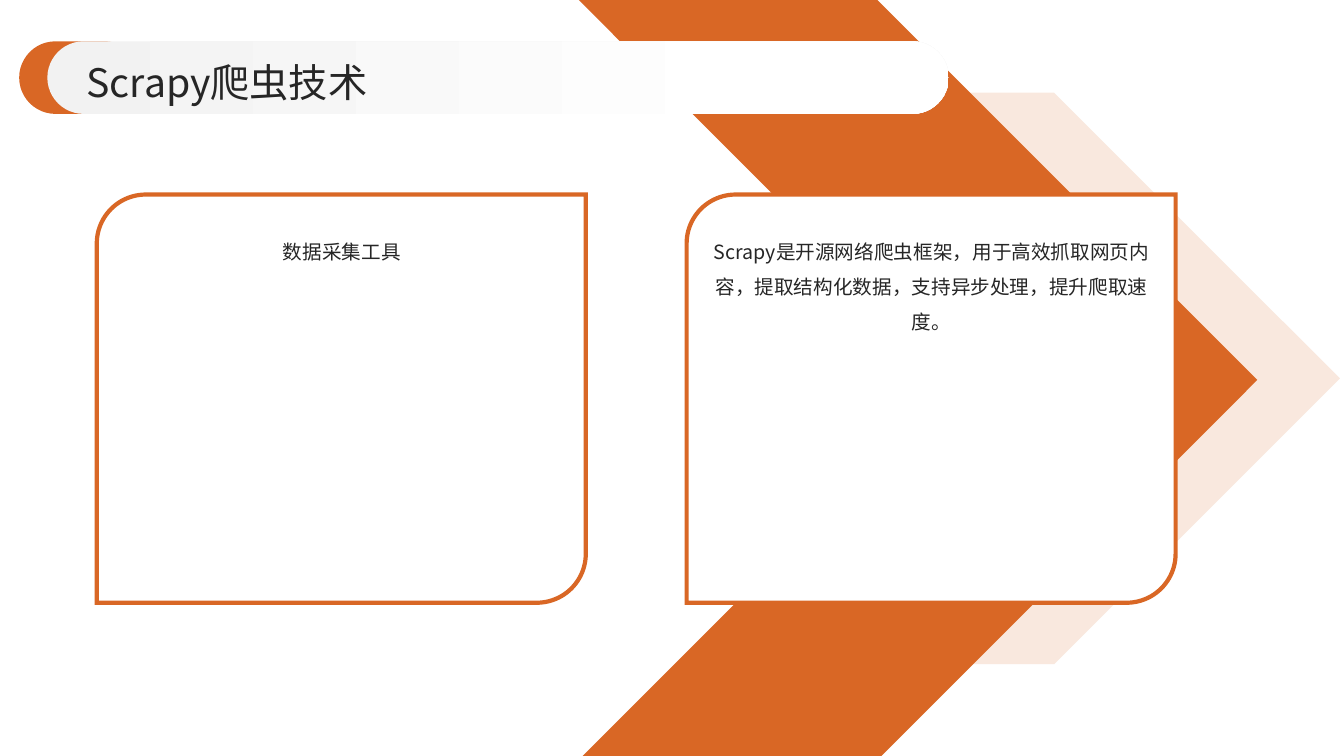
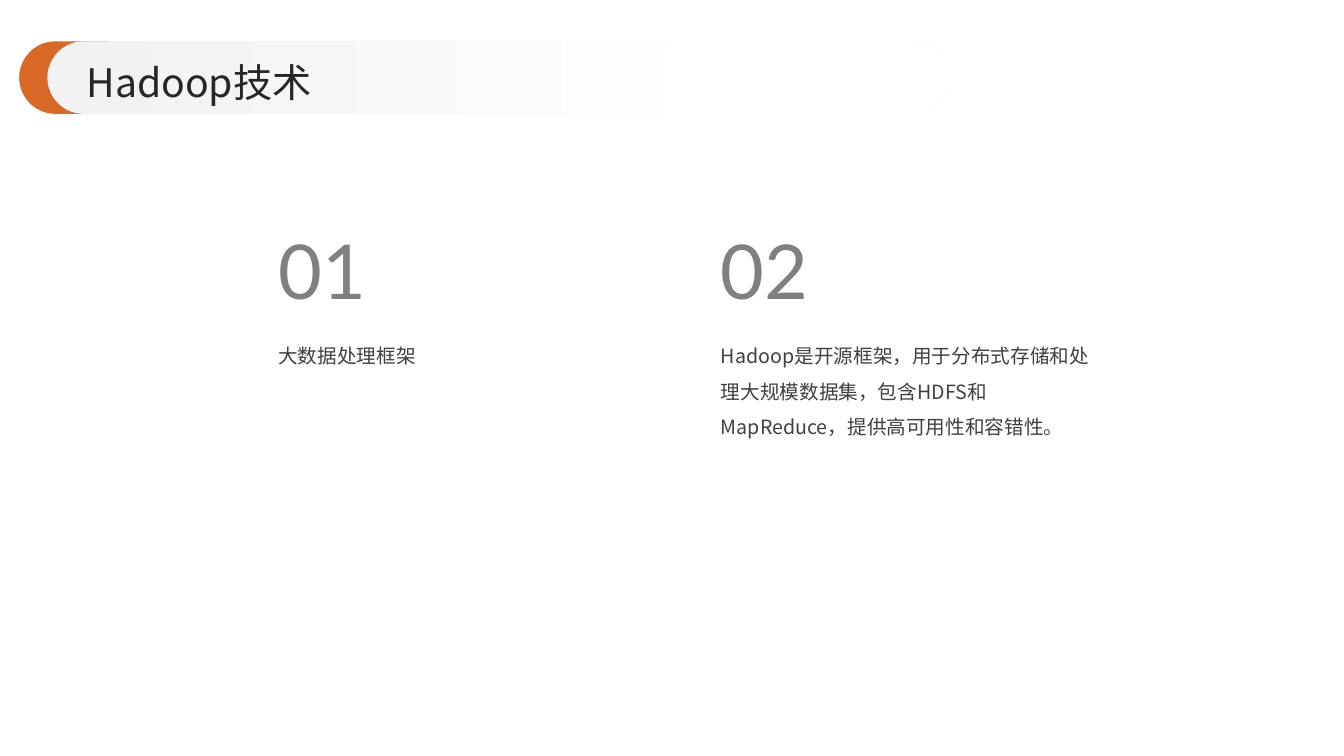
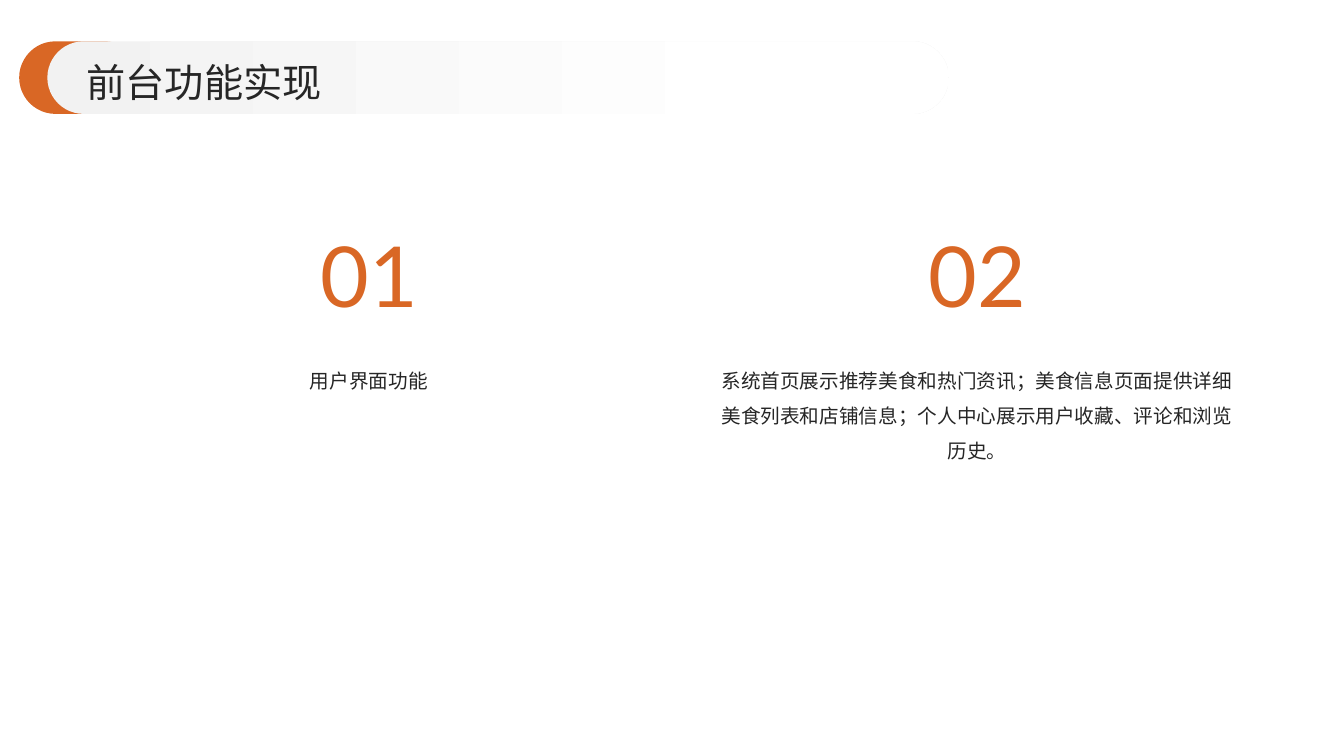
from lxml import etree
from pptx import Presentation
from pptx.dml.color import RGBColor
from pptx.enum import shapes as es, text as et
from pptx.oxml.ns import qn
from pptx.util import Inches, Pt

COLORS = {"accent": "D96725", "paper": "FFFFFF", "band": "F2F2F2",
          "ink": "262626", "body": "404040", "muted": "808080"}
CJK, LATIN = "Noto Sans CJK SC", "Lato"
KIND, ALIGN, ANCHOR = es.MSO_SHAPE, et.PP_ALIGN, et.MSO_ANCHOR


def rgb(name):
    return RGBColor.from_string(COLORS[name])


def place(shape, box):
    shape.left, shape.top, shape.width, shape.height = map(Inches, box)


def write(holder, words, size=14, color="ink", font=CJK, align=ALIGN.LEFT,
          anchor=ANCHOR.TOP, spacing=1.5):
    frame = holder.text_frame
    frame.word_wrap = True
    frame.auto_size = et.MSO_AUTO_SIZE.NONE
    frame.vertical_anchor = anchor
    frame.margin_left = frame.margin_right = 0
    frame.margin_top = frame.margin_bottom = 0
    paragraph = frame.paragraphs[0]
    paragraph.alignment = align
    paragraph.line_spacing = spacing
    run = paragraph.add_run()
    run.text = words
    run.font.size = Pt(size)
    run.font.name = font
    run.font.color.rgb = rgb(color)
    east_asian = etree.SubElement(run.font._element, qn("a:ea"))
    east_asian.set("typeface", font)


def add_text(slide, box, words, **style):
    write(slide.shapes.add_textbox(*map(Inches, box)), words, **style)


def add_block(slide, kind, box, fill="accent", adjust=0.5, alpha=None):
    block = slide.shapes.add_shape(kind, *map(Inches, box))
    block.shadow.inherit = False
    block.adjustments[0] = adjust
    block.fill.solid()
    block.fill.fore_color.rgb = rgb(fill)
    block.line.fill.background()
    if alpha is not None:
        tint = block.element.spPr.find(".//" + qn("a:srgbClr"))
        etree.SubElement(tint, qn("a:alpha")).set("val", str(alpha * 1000))
    return block


def add_title_band(slide, heading):
    add_block(slide, KIND.ROUNDED_RECTANGLE, (0.19, 0.41, 1.21, 0.72))
    band = add_block(slide, KIND.ROUNDED_RECTANGLE, (0.47, 0.41, 8.94, 0.72))
    band.fill.gradient()
    band.fill.gradient_angle = 0
    for stop, color, position in zip(band.fill.gradient_stops, ("band", "paper"), (0, 0.8)):
        stop.color.rgb = rgb(color)
        stop.position = position
    title = slide.shapes.title
    place(title, (0.86, 0.53, 11.67, 0.51))
    write(title, heading, size=28, anchor=ANCHOR.MIDDLE, spacing=1.1)
    title.element.getparent().append(title.element)


def add_chevrons(slide):
    add_block(slide, KIND.CHEVRON, (7.5, 0.92, 5.79, 5.67), adjust=0.5, alpha=15)
    add_block(slide, KIND.CHEVRON, (5.74, 0, 6.73, 7.54), adjust=0.56)


def add_card(slide, left, words, top=1.93, width=4.85, height=4.05):
    card = add_block(slide, KIND.ROUND_2_DIAG_RECTANGLE, (left, top, width, height),
                     fill="paper", adjust=0.12)
    card.line.color.rgb = rgb("accent")
    card.line.width = Pt(3)
    outline = card.element.spPr.find(qn("a:ln"))
    etree.SubElement(outline, qn("a:miter")).set("lim", "800000")
    add_text(slide, (left + 0.24, top + 0.33, width - 0.47, height - 0.66), words,
             align=ALIGN.CENTER)


def add_plain_point(slide, left, number, words, top=2.22):
    add_text(slide, (left, top, 1.53, 0.75), number, size=54, color="muted",
             font=LATIN, spacing=1)
    add_text(slide, (left, top + 1.08, 3.83, 2.38), words, color="body")


def add_centered_point(slide, left, number, words, top=1.75, width=5.2):
    number_width = 1.91
    add_text(slide, (left + (width - number_width) / 2, top, number_width, 1.44), number,
             size=60, color="accent", font=LATIN, align=ALIGN.CENTER, anchor=ANCHOR.MIDDLE)
    add_text(slide, (left, top + 1.79, width, 3), words, align=ALIGN.CENTER)


def build_cards(slide, points):
    add_chevrons(slide)
    for index, words in enumerate(points):
        add_card(slide, 0.96 + index * 5.85, words)


def build_plain_points(slide, points):
    for index, words in enumerate(points):
        add_plain_point(slide, 2.76 + index * 4.39, f"{index + 1:02}", words)


def build_centered_points(slide, points):
    for index, words in enumerate(points):
        add_centered_point(slide, 1.06 + index * 6.03, f"{index + 1:02}", words)


PAGES = [
    (build_cards, "Scrapy爬虫技术",
     ["数据采集工具",
      "Scrapy是开源网络爬虫框架，用于高效抓取网页内容，提取结构化数据，支持异步处理，提升爬取速度。"]),
    (build_plain_points, "Hadoop技术",
     ["大数据处理框架",
      "Hadoop是开源框架，用于分布式存储和处理大规模数据集，包含HDFS和MapReduce，提供高可用性和容错性。"]),
    (build_centered_points, "前台功能实现",
     ["用户界面功能",
      "系统首页展示推荐美食和热门资讯；美食信息页面提供详细美食列表和店铺信息；个人中心展示用户收藏、评论和浏览历史。"]),
]


def main():
    deck = Presentation()
    deck.slide_width, deck.slide_height = Inches(13.33), Inches(7.5)
    for build, heading, points in PAGES:
        slide = deck.slides.add_slide(deck.slide_layouts[5])
        build(slide, points)
        add_title_band(slide, heading)
    deck.save("out.pptx")


if __name__ == "__main__":
    main()
